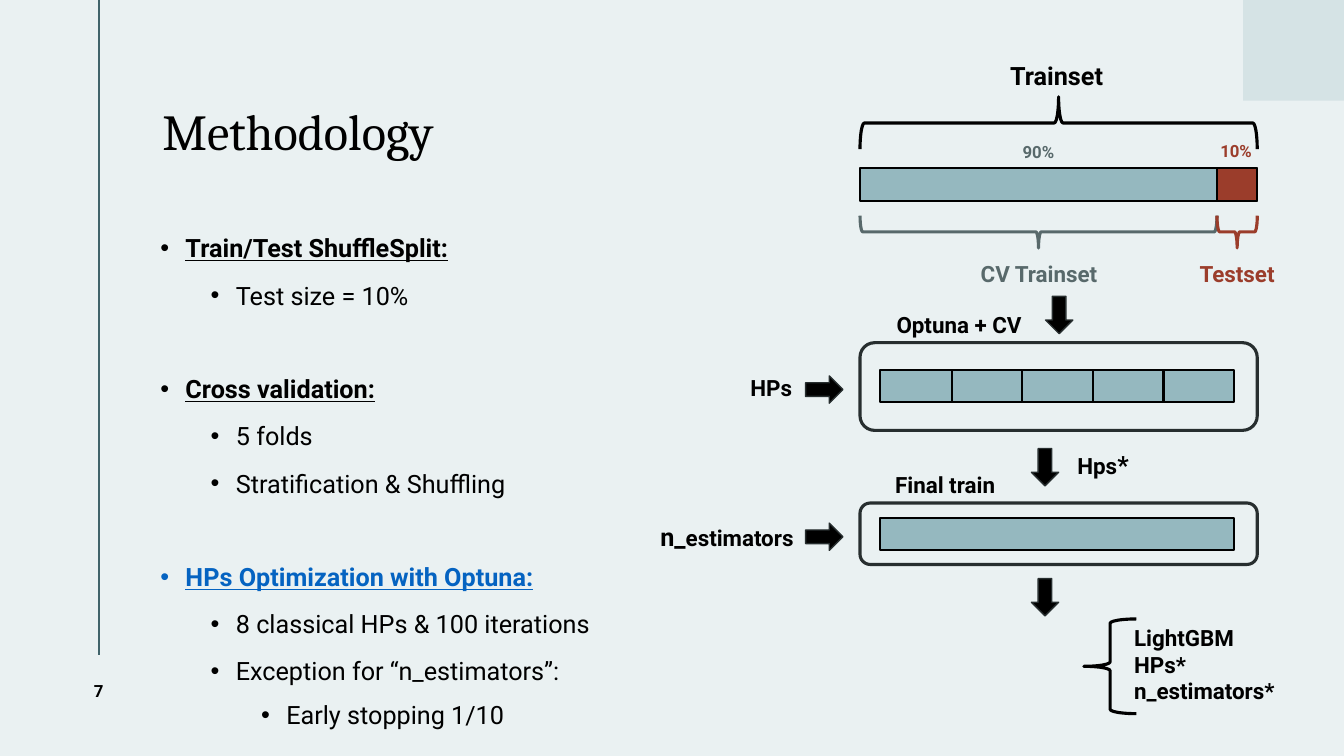
import pptx
import pptx.util
import pptx.dml.color
import pptx.enum.shapes
import pptx.enum.text
import pptx.oxml
import pptx.oxml.ns

Inches, Pt = pptx.util.Inches, pptx.util.Pt
MSO = pptx.enum.shapes.MSO_SHAPE
ALIGN = pptx.enum.text.PP_ALIGN
ANCHOR = pptx.enum.text.MSO_ANCHOR

BLACK, TEAL, RED, SLATE, DARK = "000000", "95B8BF", "9B3D2B", "58696B", "272E2F"
PALE, CORNER, RULE, BLUE = "EAF1F2", "D5E3E5", "40636A", "0563C1"
LABEL = dict(name="Roboto", size=Pt(16), bold=True)
LARGE = dict(LABEL, size=Pt(18))
SMALL = dict(LABEL, size=Pt(12))
PLAIN = dict(LARGE, bold=False)
HEADING = dict(LARGE, underline=True)
TITLE = dict(name="Cambria", size=Pt(36))
OUTLINE = [
    (0, "Train/Test ShuffleSplit:", BLACK),
    (1, "Test size = 10%", BLACK),
    (0, "Cross validation:", BLACK),
    (1, "5 folds", BLACK),
    (1, "Stratification & Shuffling", BLACK),
    (0, "HPs Optimization with Optuna:", BLUE),
    (1, "8 classical HPs & 100 iterations", BLACK),
    (1, "Exception for “n_estimators”:", BLACK),
    (2, "Early stopping 1/10", BLACK),
]


def rgb(color):
    return pptx.dml.color.RGBColor.from_string(color)


def set_font(font, fmt, color):
    for name, value in fmt.items():
        setattr(font, name, value)
    font.color.rgb = rgb(color)


def add_run(p, text, fmt, color=BLACK):
    r = p.add_run()
    r.text = text
    set_font(r.font, fmt, color)
    return r


def add_frame(s, box, anchor=ANCHOR.TOP, margins=(0.1, 0.05, 0.1, 0.05)):
    tf = s.shapes.add_textbox(*map(Inches, box)).text_frame
    tf.word_wrap = True
    tf.vertical_anchor = anchor
    for side, margin in zip(("left", "top", "right", "bottom"), margins):
        setattr(tf, "margin_" + side, Inches(margin))
    return tf


def add_label(s, box, parts, color=BLACK, align=ALIGN.CENTER):
    p = add_frame(s, box).paragraphs[0]
    p.alignment = align
    for text, fmt in parts:
        add_run(p, text, fmt, color)


def add_shape(s, kind, box, fill=None, line=None, weight=1.5, rotation=0):
    sp = s.shapes.add_shape(kind, *map(Inches, box))
    sp.shadow.inherit = False
    sp.rotation = rotation
    if fill:
        sp.fill.solid()
        sp.fill.fore_color.rgb = rgb(fill)
    else:
        sp.fill.background()
    if line:
        sp.line.color.rgb = rgb(line)
        sp.line.width = Pt(weight)
    else:
        sp.line.fill.background()
    return sp


def add_bar(s, x, y, w, fill=TEAL):
    add_shape(s, MSO.RECTANGLE, (x, y, w, 0.32), fill, BLACK)


def add_arrow(s, x, y, rotation=0):
    add_shape(s, MSO.DOWN_ARROW, (x, y, 0.27, 0.37), BLACK, DARK, 1, rotation)


def add_brace(s, box, color, rotation):
    add_shape(s, MSO.RIGHT_BRACE, box, None, color, 2.25, rotation)


def add_panel(s, box):
    add_shape(s, MSO.ROUNDED_RECTANGLE, box, None, DARK, 2.25)


def add_backdrop(s, w, h):
    s.background.fill.solid()
    s.background.fill.fore_color.rgb = rgb(PALE)
    rule = s.shapes.add_connector(pptx.enum.shapes.MSO_CONNECTOR.STRAIGHT,
                                  Inches(0.98), 0, Inches(0.98), Inches(h - 1))
    rule.line.color.rgb = rgb(RULE)
    rule.line.width = Pt(1.5)
    pptx.oxml.ns.qn("a:effectLst")
    rule._element.spPr.append(pptx.oxml.parse_xml(
        "<a:effectLst %s/>" % pptx.oxml.ns.nsdecls("a")))
    add_shape(s, MSO.RECTANGLE, (w - 1, 0, 1, 1), CORNER)
    p = add_frame(s, (0.45, h - 1, 1.06, 0.71), ANCHOR.MIDDLE).paragraphs[0]
    p.alignment = ALIGN.CENTER
    r = add_run(p, "7", SMALL)
    r.font._element.set("spc", "150")


def add_title(s, box):
    p = add_frame(s, box, ANCHOR.MIDDLE, (0, 0.05, 0.1, 0.05)).paragraphs[0]
    p.line_spacing = 0.9
    add_run(p, "Methodology", TITLE)


def add_outline(s, box):
    tf = add_frame(s, box, margins=(0, 0, 0, 0))
    for i, (level, text, color) in enumerate(OUTLINE):
        p = tf.add_paragraph() if i else tf.paragraphs[0]
        pPr = p._p.get_or_add_pPr()
        pPr.set("marL", str(Inches(0.25 + 0.5 * level)))
        pPr.set("indent", str(Inches(-0.25)))
        pPr.append(pptx.oxml.parse_xml(
            '<a:buFont %s typeface="Arial"/>' % pptx.oxml.ns.nsdecls("a")))
        pPr.append(pptx.oxml.parse_xml(
            '<a:buChar %s char="•"/>' % pptx.oxml.ns.nsdecls("a")))
        p.level = level
        p.space_after = Pt(12)
        p.line_spacing = 0.9 if level == 2 else 1.0
        if i and level == 0:
            p.space_before = Pt(33.5)
        add_run(p, text, PLAIN if level else HEADING, color)


def add_split(s, x, y, w):
    test = 0.4
    train = w - test
    mid = x + w / 2
    add_label(s, (mid - 0.92, y, 1.8, 0.4), [("Trainset", LARGE)])
    add_brace(s, (mid - 0.26, y + 0.67 - w / 2, 0.52, w), BLACK, 270)
    add_label(s, (9.78 - 8.53 + x, y + 0.81, 1.04, 0.3), [("90%", SMALL)], SLATE)
    add_label(s, (x + 3.21, y + 0.8, 1.04, 0.3), [("10%", SMALL)], RED)
    add_bar(s, x, y + 1.12, w)
    add_bar(s, x + train, y + 1.12, test, RED)
    for left, width, color in ((x, train, SLATE), (x + train, test, RED)):
        add_brace(s, (left + width / 2 - 0.16, y + 1.75 - width / 2, 0.32, width),
                  color, 90)
    add_label(s, (x + 0.69, y + 1.98, 2.17, 0.37), [("CV Trainset", LABEL)], SLATE)
    add_label(s, (x + 3.21, y + 1.98, 1.06, 0.37), [("Testset", LABEL)], RED)
    add_arrow(s, mid - 0.13, y + 2.39)


def add_validation(s, x, y, w, h):
    for fold in reversed(range(5)):
        add_bar(s, x + 0.2 + 0.7 * fold, y + 0.27, 0.71)
    add_panel(s, (x, y, w, h))
    add_label(s, (x + 0.01, y - 0.36, 2, 0.37), [("Optuna + CV ", LABEL)])
    add_label(s, (x - 1.38, y + 0.26, 1, 0.37), [("HPs", LABEL)])
    add_arrow(s, x - 0.49, y + 0.28, 270)
    add_arrow(s, x + 1.7, y + h + 0.18)
    add_label(s, (x + 1.91, y + h + 0.14, 1, 0.4), [("Hps", LABEL), ("*", LARGE)])


def add_final_train(s, x, y, w, h):
    add_panel(s, (x, y, w, h))
    add_bar(s, x + 0.2, y + 0.15, 3.51)
    add_label(s, (x + 0.25, y - 0.37, 1.36, 0.37), [("Final train", LABEL)],
              align=ALIGN.LEFT)
    add_label(s, (x - 2.31, y + 0.13, 1.98, 0.4),
              [("n_", LARGE), ("estimators", LABEL)])
    add_arrow(s, x - 0.49, y + 0.15, 270)
    add_arrow(s, x + 1.7, y + h + 0.14)


def add_result(s, x, y, h):
    add_brace(s, (x, y, 0.52, h), BLACK, 180)
    tf = add_frame(s, (x + 0.4, y, 2.1, h))
    for i, text in enumerate(("LightGBM", "HPs*", "n_estimators*")):
        p = tf.add_paragraph() if i else tf.paragraphs[0]
        add_run(p, text, LABEL)


def main():
    prs = pptx.Presentation()
    prs.slide_width, prs.slide_height = Inches(13.33), Inches(7.5)
    s = prs.slides.add_slide(prs.slide_layouts[6])
    add_backdrop(s, 13.33, 7.5)
    add_title(s, (1.61, 0.55, 10.01, 1.56))
    add_outline(s, (1.59, 2.31, 4.53, 5.07))
    add_split(s, 8.53, 0.55, 3.94)
    add_validation(s, 8.53, 3.4, 3.94, 0.87)
    add_final_train(s, 8.53, 4.99, 3.94, 0.61)
    add_result(s, 10.75, 6.14, 0.94)
    prs.save("out.pptx")


if __name__ == "__main__":
    main()
